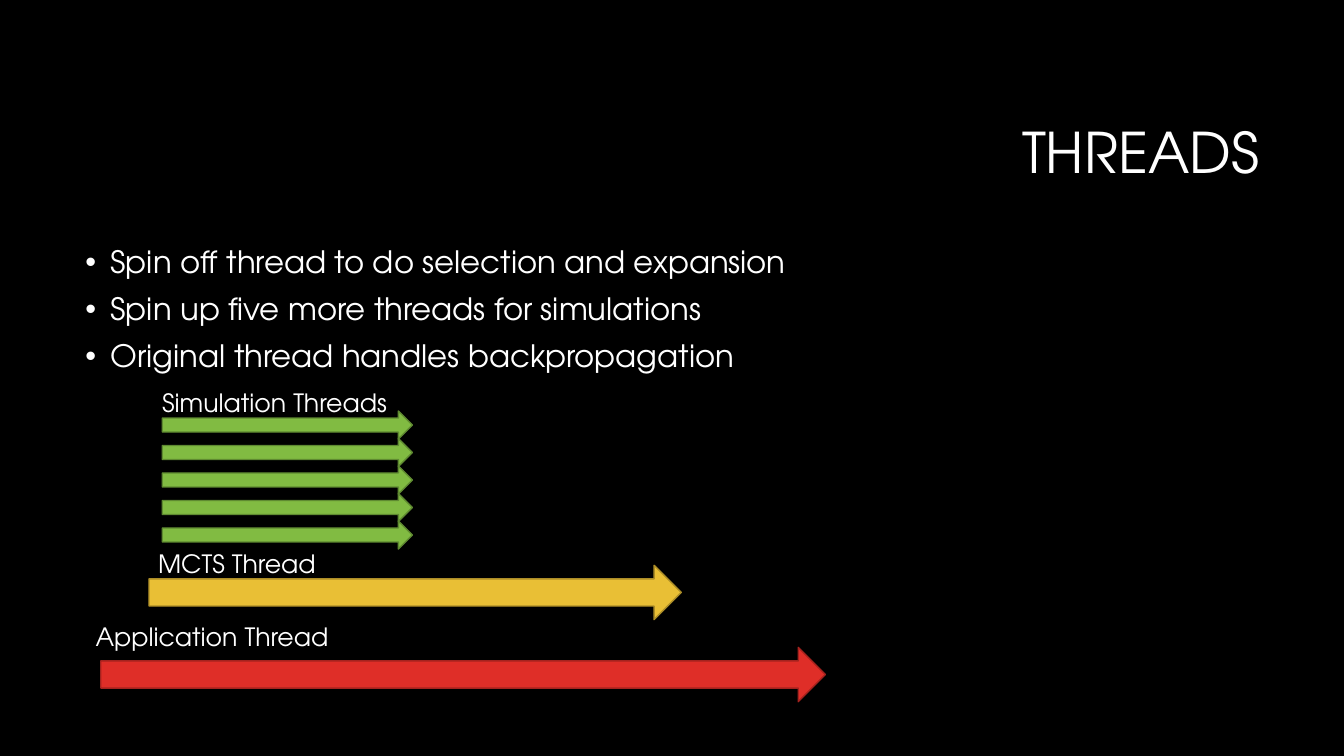
from dataclasses import dataclass

from lxml.etree import SubElement
from pptx import Presentation
from pptx.dml.color import RGBColor as Rgb
from pptx.enum.shapes import MSO_SHAPE as Kind
from pptx.enum.text import MSO_ANCHOR as Anchor, MSO_AUTO_SIZE as Fit, PP_ALIGN as Align
from pptx.oxml.ns import qn
from pptx.slide import Slide
from pptx.text.text import TextFrame, _Paragraph as Para
from pptx.util import Pt


@dataclass(frozen=True)
class Theme:
    """Colours, font and type sizes of the slide."""
    back: str = "000000"
    ink: str = "FFFFFF"
    red: str = "DF2E28"
    maroon: str = "A5221E"
    gold: str = "E9BF35"
    bronze: str = "AC8D27"
    green: str = "81BB42"
    moss: str = "5F8A31"
    font: str = "TeX Gyre Adventor"
    title: int = 40
    body: int = 22
    label: int = 18


@dataclass(frozen=True)
class Box:
    """A place on the slide, in points."""
    left: float
    top: float
    width: float
    height: float


@dataclass(frozen=True)
class Arrow:
    """A block arrow that stands for one thread."""
    box: Box
    fill: str
    line: str


@dataclass(frozen=True)
class Label:
    """A caption above a thread arrow."""
    text: str
    box: Box


THEME = Theme()
POINTS = (
    "Spin off thread to do selection and expansion",
    "Spin up five more threads for simulations",
    "Original thread handles backpropagation",
)
SIMS = 5
STEP = 19.64
ARROWS = (
    Arrow(Box(72, 462.4, 517.6, 38.8), THEME.red, THEME.maroon),
    Arrow(Box(106.4, 403.8, 380.2, 38.8), THEME.gold, THEME.bronze),
    *(
        Arrow(Box(115.9, 293.6 + STEP * row, 178.6, 20), THEME.green, THEME.moss)
        for row in reversed(range(SIMS))
    ),
)
LABELS = (
    Label("Application Thread", Box(61.2, 440.6, 182.9, 29.1)),
    Label("MCTS Thread", Box(105.8, 388.1, 128.9, 29.1)),
    Label("Simulation Threads", Box(108.7, 272.9, 177.1, 29.1)),
)


def add_box(slide: Slide, box: Box) -> TextFrame:
    """Add an empty text box and return its frame."""
    place = (Pt(box.left), Pt(box.top), Pt(box.width), Pt(box.height))
    frame = slide.shapes.add_textbox(*place).text_frame
    frame.word_wrap = True
    return frame


def add_run(para: Para, text: str, size: int) -> None:
    """Add one run in the theme's font and ink."""
    run = para.add_run()
    run.text = text
    run.font.name = THEME.font
    run.font.size = Pt(size)
    run.font.color.rgb = Rgb.from_string(THEME.ink)


def add_title(slide: Slide) -> None:
    """Add the right-aligned heading."""
    frame = add_box(slide, Box(228.2, 60.5, 678.2, 101.5))
    frame.vertical_anchor = Anchor.MIDDLE
    para = frame.paragraphs[0]
    para.alignment = Align.RIGHT
    para.line_spacing = 0.9
    add_run(para, "THREADS", THEME.title)


def add_points(slide: Slide) -> None:
    """Add the bulleted list."""
    frame = add_box(slide, Box(54, 172.8, 851.8, 316.8))
    for index, text in enumerate(POINTS):
        para = frame.add_paragraph() if index else frame.paragraphs[0]
        para.line_spacing = 0.9
        para.space_before = Pt(10)
        props = para._p.get_or_add_pPr()
        props.set("marL", str(Pt(18)))
        props.set("indent", str(Pt(-18)))
        SubElement(props, qn("a:buFont"), typeface="Arial")
        SubElement(props, qn("a:buChar"), char="•")
        add_run(para, text, THEME.body)


def add_arrow(slide: Slide, arrow: Arrow) -> None:
    """Add one thread arrow."""
    box = arrow.box
    place = (Pt(box.left), Pt(box.top), Pt(box.width), Pt(box.height))
    shape = slide.shapes.add_shape(Kind.RIGHT_ARROW, *place)
    shape.shadow.inherit = False
    shape.fill.solid()
    shape.fill.fore_color.rgb = Rgb.from_string(arrow.fill)
    shape.line.color.rgb = Rgb.from_string(arrow.line)
    shape.line.width = Pt(1)


def add_label(slide: Slide, label: Label) -> None:
    """Add one thread caption."""
    frame = add_box(slide, label.box)
    frame.word_wrap = False
    frame.auto_size = Fit.SHAPE_TO_FIT_TEXT
    add_run(frame.paragraphs[0], label.text, THEME.label)


def main() -> None:
    """Build the slide and save it."""
    deck = Presentation()
    deck.slide_width, deck.slide_height = Pt(960), Pt(540)
    slide = deck.slides.add_slide(deck.slide_layouts[6])
    slide.background.fill.solid()
    slide.background.fill.fore_color.rgb = Rgb.from_string(THEME.back)
    add_title(slide)
    add_points(slide)
    for arrow in ARROWS:
        add_arrow(slide, arrow)
    for label in LABELS:
        add_label(slide, label)
    deck.save("out.pptx")


if __name__ == "__main__":
    main()
